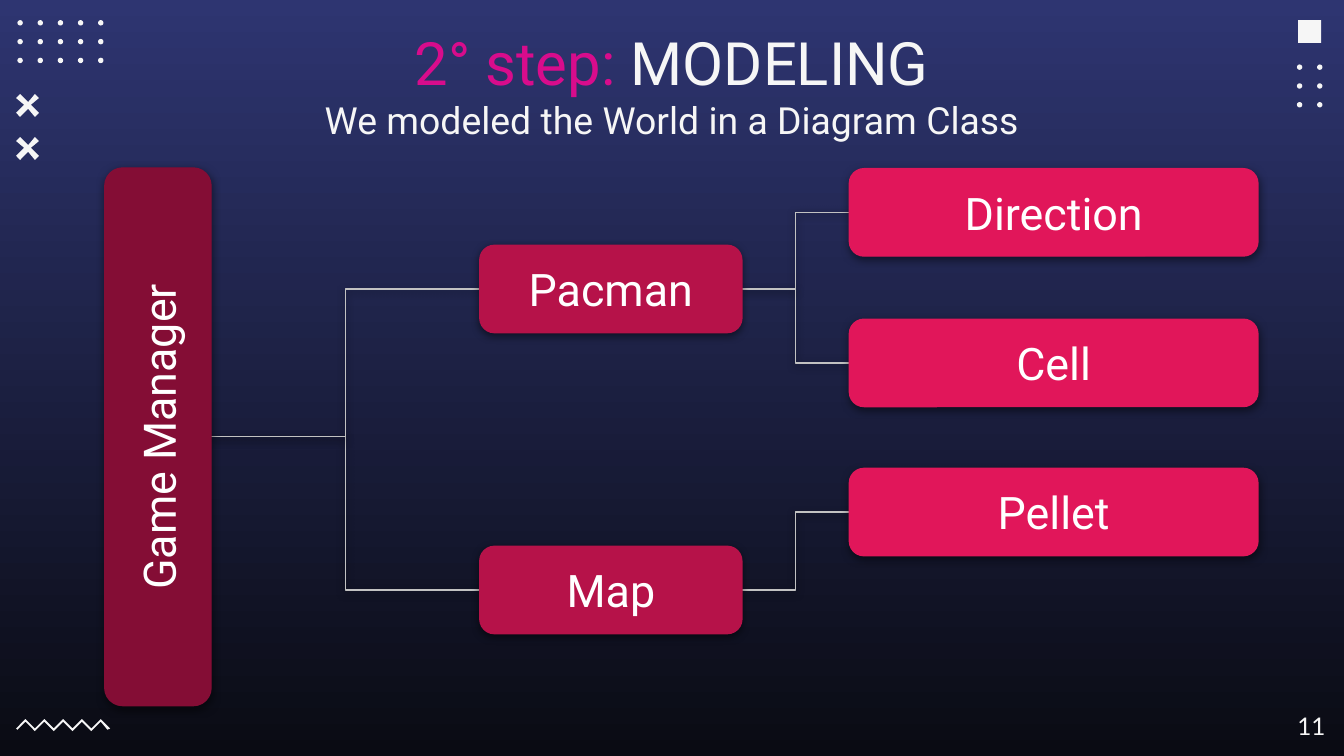
from pptx import Presentation
from pptx import util as u
from pptx.dml.color import RGBColor
from pptx.enum import shapes, text
from pptx.oxml import parse_xml
from pptx.oxml.ns import nsdecls, qn

NIGHT_TOP = RGBColor(0x2E, 0x35, 0x71)
NIGHT_BOTTOM = RGBColor(0x0A, 0x0B, 0x13)
OFF_WHITE = RGBColor(0xF6, 0xF6, 0xF6)
WHITE = RGBColor(0xFF, 0xFF, 0xFF)
MAGENTA = RGBColor(0xD8, 0x0C, 0x8C)
LINK_GREY = RGBColor(0xC2, 0xC2, 0xC2)
LEVEL_COLORS = [RGBColor(0x84, 0x0D, 0x35), RGBColor(0xB6, 0x12, 0x49),
                RGBColor(0xE1, 0x16, 0x5A)]

# Content
STEP, TOPIC = "2° step:", " MODELING"
SUBTITLE = "We modeled the World in a Diagram Class"
PAGE = "11"
# Class: (level, vertical centre)
CLASSES = {
    "Game Manager": (0, 3.25),
    "Pacman": (1, 2.15),
    "Map": (1, 4.39),
    "Direction": (2, 1.58),
    "Cell": (2, 2.7),
    "Pellet": (2, 3.81),
}
LINKS = [("Game Manager", "Map"), ("Game Manager", "Pacman"),
         ("Pacman", "Direction"), ("Pacman", "Cell"), ("Map", "Pellet")]

# Level columns: (left, width, height)
COLUMNS = [(0.78, 0.79, 4), (3.57, 1.95, 0.65), (6.32, 3.04, 0.65)]
# Dot grids: (left, top, columns, rows, column pitch)
DOT_GRIDS = [(0.13, 0.15, 5, 3, 0.15), (9.65, 0.48, 2, 3, 0.15)]
DOT_ROW_PITCH = 0.14
DOT_SIZE = 0.04

# Slide in 16:9
prs = Presentation()
prs.slide_width = u.Inches(10)
prs.slide_height = prs.slide_width * 9 // 16
slide = prs.slides.add_slide(prs.slide_layouts[5])


def inches(*lengths):
    return [u.Inches(length) for length in lengths]


def paint(shape, color):
    shape.shadow.inherit = False
    shape.fill.solid()
    shape.fill.fore_color.rgb = color
    shape.line.fill.background()


def add_outline(points):
    """Closed outline from points in hundredths of an inch."""
    builder = slide.shapes.build_freeform(*points[0], scale=u.Inches(0.01))
    builder.add_line_segments(points[1:], close=True)
    paint(builder.convert_to_shape(), OFF_WHITE)


def add_soft_shadow(shape):
    properties = shape._element.spPr
    for old in properties.findall(qn("a:effectLst")):
        properties.remove(old)
    properties.append(parse_xml(
        f'<a:effectLst {nsdecls("a")}><a:outerShdw blurRad="{u.Pt(4.5)}" '
        f'dist="{u.Pt(1.5)}" dir="5400000" algn="bl" rotWithShape="0">'
        '<a:srgbClr val="000000"><a:alpha val="50000"/></a:srgbClr>'
        '</a:outerShdw></a:effectLst>'))


def set_frame(frame, anchor):
    frame.word_wrap = True
    frame.auto_size = text.MSO_AUTO_SIZE.NONE
    frame.vertical_anchor = anchor
    frame.margin_left = frame.margin_right = u.Inches(0.1)
    frame.margin_top = frame.margin_bottom = u.Inches(0.1)


def set_paragraph(paragraph, size, font, color, align):
    paragraph.alignment = align
    paragraph.font.size = u.Pt(size)
    paragraph.font.name = font
    paragraph.font.color.rgb = color


# Background
night = slide.background.fill
night.gradient()
night.gradient_angle = 270
for stop, color in zip(night.gradient_stops, (NIGHT_TOP, NIGHT_BOTTOM)):
    stop.color.rgb = color

# Corner ornaments: zigzag, square, crosses, dots
crest = [(19 + 7 * i, 542 if i % 2 else 535) for i in range(9)]
trough = [(x, y + 2) for x, y in reversed(crest)]
add_outline([(12, 542)] + crest + [(82, 542), (80, 543)] + trough + [(13, 543)])

square = slide.shapes.add_shape(shapes.MSO_SHAPE.RECTANGLE, *inches(9.66, 0.15, 0.17, 0.17))
paint(square, OFF_WHITE)

CROSS = [(3, 0), (9, 6), (14, 0), (17, 3), (11, 8), (17, 14),
         (14, 17), (9, 11), (3, 17), (0, 14), (6, 8), (0, 3)]
for top in (70, 102):
    add_outline([(12 + x, top + y) for x, y in CROSS])

for left, top, columns, rows, pitch in DOT_GRIDS:
    for row in range(rows):
        for column in range(columns):
            dot = slide.shapes.add_shape(
                shapes.MSO_SHAPE.OVAL,
                *inches(left + column * pitch, top + row * DOT_ROW_PITCH, DOT_SIZE, DOT_SIZE))
            paint(dot, OFF_WHITE)

# Title and subtitle
title = slide.shapes.title
title.left, title.top, title.width, title.height = inches(0.78, 0.09, 8.44, 0.63)
set_frame(title.text_frame, text.MSO_ANCHOR.TOP)
heading = title.text_frame.paragraphs[0]
subtitle = title.text_frame.add_paragraph()
subtitle.text = SUBTITLE
step = heading.add_run()
step.text = STEP
step.font.color.rgb = MAGENTA
heading.add_run().text = TOPIC
for paragraph, size in ((heading, 32), (subtitle, 20)):
    set_paragraph(paragraph, size, "Roboto", OFF_WHITE, text.PP_ALIGN.CENTER)

# Page number
page = slide.shapes.add_textbox(*inches(9.36, 5.19, 0.6, 0.43)).text_frame
set_frame(page, text.MSO_ANCHOR.TOP)
page.text = PAGE
set_paragraph(page.paragraphs[0], 13, "Lato", OFF_WHITE, text.PP_ALIGN.RIGHT)

# Links, from the right edge of the owner to the left edge of its part
for owner, part in LINKS:
    owner_level, owner_y = CLASSES[owner]
    part_level, part_y = CLASSES[part]
    owner_left, owner_width, _ = COLUMNS[owner_level]
    link = slide.shapes.add_connector(
        shapes.MSO_CONNECTOR.ELBOW,
        *inches(owner_left + owner_width, owner_y, COLUMNS[part_level][0], part_y))
    link.line.color.rgb = LINK_GREY
    link.line.width = u.Pt(0.75)
    add_soft_shadow(link)

# Class boxes; the root is a wide box turned upright
for name, (level, middle) in CLASSES.items():
    left, width, height = COLUMNS[level]
    center = left + width / 2
    upright = level == 0
    if upright:
        width, height = height, width
    box = slide.shapes.add_shape(
        shapes.MSO_SHAPE.ROUNDED_RECTANGLE,
        *inches(center - width / 2, middle - height / 2, width, height))
    box.rotation = 270 if upright else 0
    paint(box, LEVEL_COLORS[level])
    box.line.color.rgb = LEVEL_COLORS[level]
    box.line.width = u.Pt(0.75)
    add_soft_shadow(box)
    set_frame(box.text_frame, text.MSO_ANCHOR.MIDDLE)
    box.text_frame.text = name
    set_paragraph(box.text_frame.paragraphs[0], 24, "Roboto", WHITE, text.PP_ALIGN.CENTER)

prs.save("out.pptx")
